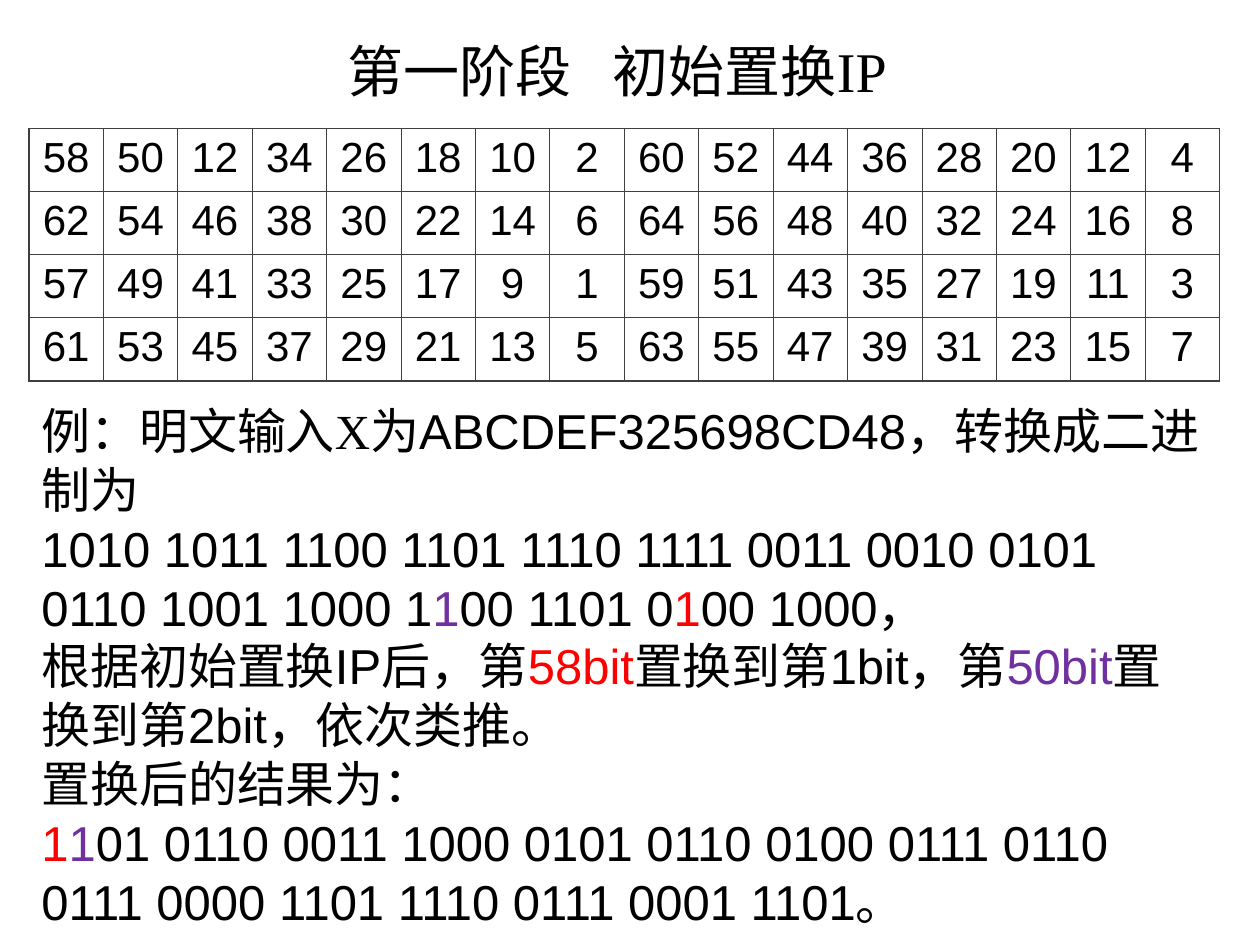
from lxml.etree import SubElement
from pptx import Presentation
from pptx.dml.color import RGBColor
from pptx.enum.text import MSO_ANCHOR, PP_ALIGN
from pptx.oxml.ns import qn
from pptx.util import Inches, Pt

BLACK, RED, PURPLE, GRID = "000000", "FF0000", "7030A0", "3D3F41"
ARIAL, TIMES = "Arial", "Times New Roman"

IP_TABLE = [
    [58, 50, 12, 34, 26, 18, 10, 2, 60, 52, 44, 36, 28, 20, 12, 4],
    [62, 54, 46, 38, 30, 22, 14, 6, 64, 56, 48, 40, 32, 24, 16, 8],
    [57, 49, 41, 33, 25, 17, 9, 1, 59, 51, 43, 35, 27, 19, 11, 3],
    [61, 53, 45, 37, 29, 21, 13, 5, 63, 55, 47, 39, 31, 23, 15, 7],
]

EXAMPLE = [
    [("例：明文输入", {}), ("X", {"name": TIMES}),
     ("为ABCDEF325698CD48，转换成二进制为", {})],
    [("1010 1011 1100 1101 1110 1111 0011 0010 0101 0110 1001 1000 1", {}),
     ("1", {"color": PURPLE}), ("00 1101 0", {}),
     ("1", {"color": RED}), ("00 1000，", {})],
    [("根据初始置换IP后，第", {}), ("58bit", {"color": RED}),
     ("置换到第1bit，第", {}), ("50bit", {"color": PURPLE}),
     ("置换到第2bit，依次类推。", {})],
    [("置换后的结果为：", {})],
    [("1", {"color": RED}), ("1", {"color": PURPLE}),
     ("01 0110 0011 1000 0101 0110 0100 0111 0110 "
      "0111 0000 1101 1110 0111 0001 1101。", {})],
]


def rgb(color):
    return RGBColor.from_string(color)


def add_run(p, text, color=BLACK, **fmt):
    r = p.add_run()
    r.text = text
    for key, value in fmt.items():
        setattr(r.font, key, value)
    r.font.color.rgb = rgb(color)
    return r


def add_text_frame(s, box, anchor):
    tf = s.shapes.add_textbox(*map(Inches, box)).text_frame
    tf.word_wrap = True
    tf.vertical_anchor = anchor
    return tf


def add_title(s, box):
    p = add_text_frame(s, box, MSO_ANCHOR.MIDDLE).paragraphs[0]
    p.alignment = PP_ALIGN.CENTER
    fmt = {"size": Pt(32), "name": TIMES}
    add_run(p, "第一阶段", **fmt)
    gap = add_run(p, " ", **fmt)
    gap.font._element.set("spc", "1600")
    add_run(p, "初始置换IP", **fmt)


def set_borders(cell, widths):
    tc_pr = cell._tc.get_or_add_tcPr()
    for side, width in widths.items():
        ln = SubElement(tc_pr, qn(f"a:ln{side}"), w=str(Pt(width)))
        fill = SubElement(ln, qn("a:solidFill"))
        SubElement(fill, qn("a:srgbClr"), val=GRID)


def add_permutation_table(s, box):
    rows, cols = len(IP_TABLE), len(IP_TABLE[0])
    left, top, width, height = map(Inches, box)
    table = s.shapes.add_table(rows, cols, left, top, width, height).table
    table.first_row = table.horz_banding = False
    for col in table.columns:
        col.width = width // cols
    for i, values in enumerate(IP_TABLE):
        table.rows[i].height = height // rows
        for j, value in enumerate(values):
            cell = table.cell(i, j)
            outer = {"L": j == 0, "R": j == cols - 1,
                     "T": i == 0, "B": i == rows - 1}
            set_borders(cell, {k: 1.08 if edge else 0.45
                               for k, edge in outer.items()})
            cell.fill.background()
            p = cell.text_frame.paragraphs[0]
            p.alignment = PP_ALIGN.CENTER
            add_run(p, str(value), size=Pt(24), name=ARIAL)


def add_example(s, box):
    tf = add_text_frame(s, box, MSO_ANCHOR.TOP)
    for i, runs in enumerate(EXAMPLE):
        p = tf.add_paragraph() if i else tf.paragraphs[0]
        for text, fmt in runs:
            add_run(p, text, **{"size": Pt(28), "name": ARIAL, **fmt})


def main():
    prs = Presentation()
    prs.slide_width, prs.slide_height = Inches(10), Inches(7.5)
    s = prs.slides.add_slide(prs.slide_layouts[6])
    add_title(s, (1.8, 0.24, 6.2, 0.64))
    add_permutation_table(s, (0.23, 1.02, 9.45, 2))
    add_example(s, (0.23, 3.13, 9.45, 4.31))
    prs.save("out.pptx")


if __name__ == "__main__":
    main()
